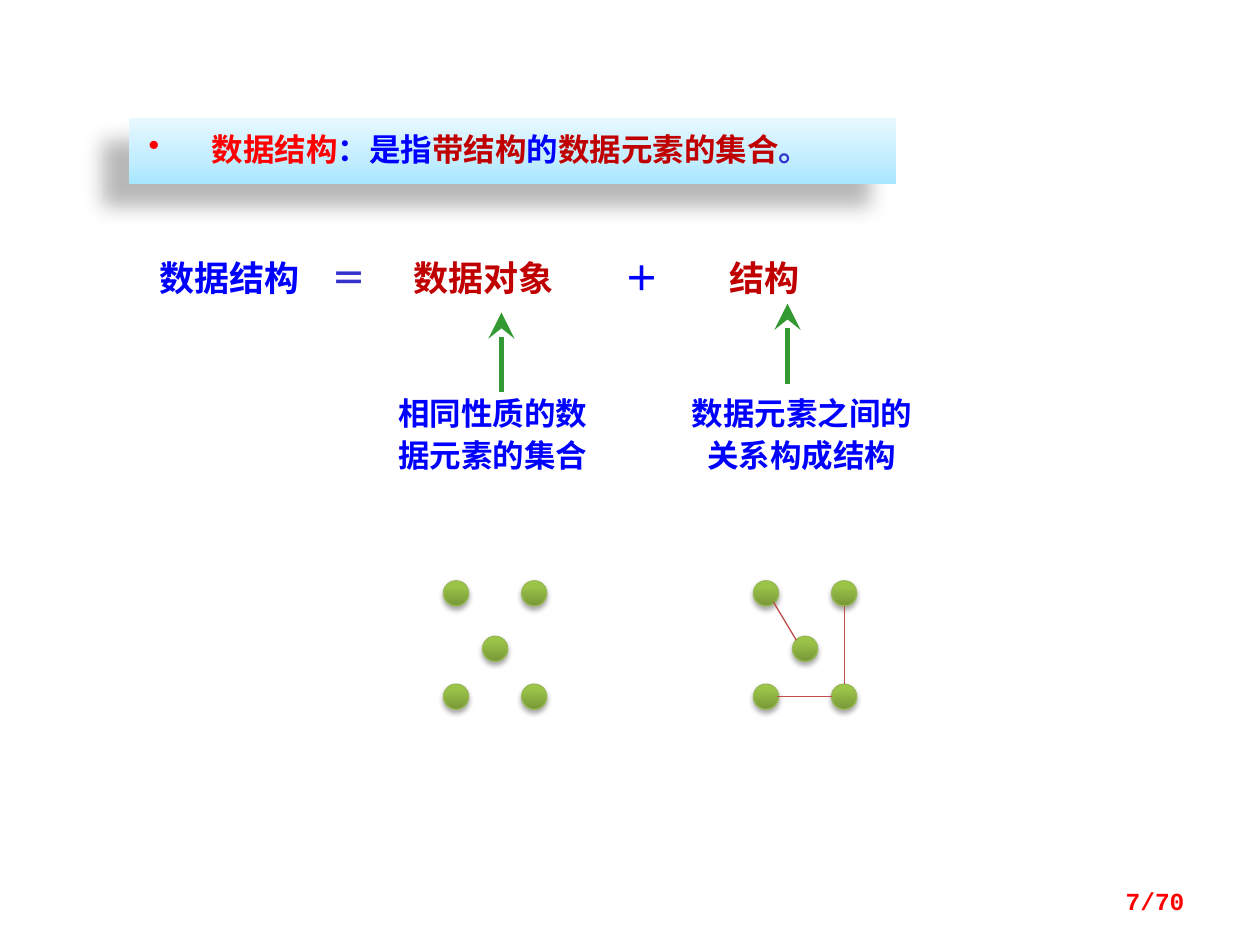
"""Build the slide that defines a data structure as data objects plus structure."""
from copy import deepcopy

from pptx import Presentation
from pptx.dml.color import RGBColor
from pptx.enum.shapes import MSO_CONNECTOR, MSO_SHAPE
from pptx.enum.text import MSO_ANCHOR, PP_ALIGN
from pptx.oxml.ns import qn
from pptx.oxml.xmlchemy import OxmlElement
from pptx.util import Inches, Pt

STRAIGHT = MSO_CONNECTOR.STRAIGHT
RECTANGLE, OVAL = MSO_SHAPE.RECTANGLE, MSO_SHAPE.OVAL
TOP, MIDDLE = MSO_ANCHOR.TOP, MSO_ANCHOR.MIDDLE
LEFT, CENTER, RIGHT = PP_ALIGN.LEFT, PP_ALIGN.CENTER, PP_ALIGN.RIGHT
SANS, SERIF, MONO = "Noto Sans CJK SC", "Times New Roman", "Courier New"
RED, DARK_RED, BLUE, INDIGO = "FF0000", "C00000", "0000FF", "3333CC"
SKY = [(0, "A7E6FF"), (0.35, "C1EDFF"), (1, "E7F8FF")]
GREEN = [(0, "779737"), (0.8, "9BC348"), (1, "9DC746")]


def color(code):
    return RGBColor.from_string(code)


def write(box, runs, size, align=LEFT, spacing=1, anchor=TOP, insets=(0.1, 0.05, 0.1, 0.05)):
    frame = box.text_frame
    frame.word_wrap = True
    frame.vertical_anchor = anchor
    frame.margin_left, frame.margin_top, frame.margin_right, frame.margin_bottom = map(Inches, insets)
    para = frame.paragraphs[0]
    para.alignment = align
    para.line_spacing = spacing
    for text, font, code in runs:
        span = para.add_run()
        span.text = text
        span.font.size = Pt(size)
        span.font.bold = True
        span.font.name = font
        span.font.color.rgb = color(code)
        east_asian = OxmlElement("a:ea")
        east_asian.set("typeface", SANS)
        span.font._element.append(east_asian)
    return para


deck = Presentation()
deck.slide_width, deck.slide_height = Inches(10), Inches(7.5)
page = deck.slides.add_slide(deck.slide_layouts[6])

banner_shadow = (11.8, 19.7, 141, 28)
dot_shadow = (3.1, 1.8, 90, 35)
dot_places = [(0.62, 0), (0, 0), (0.31, 0.44), (0.62, 0.82), (0, 0.82)]
filled = [(RECTANGLE, 1.02, 0.94, 6.09, 0.52, SKY, None, banner_shadow)]
for group_left in (3.52, 5.98):
    for across, down in dot_places:
        filled.append((OVAL, group_left + across, 4.61 + down, 0.2, 0.2, GREEN, "98B955", dot_shadow))

shapes = []
for kind, left, top, width, height, stops, outline, shadow in filled:
    shape = page.shapes.add_shape(kind, Inches(left), Inches(top), Inches(width), Inches(height))
    shape.fill.gradient()
    shape.fill.gradient_angle = 90
    stop_list = shape._element.spPr.find(".//" + qn("a:gsLst"))
    stop_list.append(deepcopy(stop_list[-1]))
    for stop, (position, code) in zip(shape.fill.gradient_stops, stops):
        stop.position = position
        stop.color.rgb = color(code)
    if outline:
        shape.line.color.rgb = color(outline)
        shape.line.width = Pt(0.75)
    else:
        shape.line.fill.background()
    shape.shadow.inherit = False
    blur, distance, angle, opacity = shadow
    outer = OxmlElement("a:outerShdw")
    for name, value in (("blurRad", Pt(blur)), ("dist", Pt(distance)), ("dir", angle * 60000), ("rotWithShape", 0)):
        outer.set(name, str(value))
    shade = OxmlElement("a:srgbClr")
    shade.set("val", "000000")
    alpha = OxmlElement("a:alpha")
    alpha.set("val", str(opacity * 1000))
    shade.append(alpha)
    outer.append(shade)
    shape._element.spPr.find(qn("a:effectLst")).append(outer)
    shapes.append(shape)

definition = [
    ("数据结构", SANS, RED),
    ("：是指", SERIF, BLUE),
    ("带结构", SERIF, DARK_RED),
    ("的", SERIF, BLUE),
    ("数据元素的集合", SERIF, DARK_RED),
    ("。", SERIF, INDIGO),
]
para = write(shapes[0], definition, 18, spacing=1.05, insets=(0.16, 0.08, 0.1, 0.08))
properties = para._p.get_or_add_pPr()
properties.set("marL", str(Inches(0.5)))
properties.set("indent", str(-Inches(0.5)))
bullet = OxmlElement("a:buChar")
bullet.set("char", "•")
properties.append(bullet)

equation = [
    ("数据结构\t", SANS, BLUE),
    ("＝\t", SERIF, INDIGO),
    ("数据对象\t", SERIF, DARK_RED),
    ("＋\t", MONO, BLUE),
    ("结构", SERIF, DARK_RED),
]
box = page.shapes.add_textbox(Inches(1.17), Inches(2.03), Inches(5.7), Inches(0.35))
para = write(box, equation, 20, spacing=0.75, insets=(0.1, 0.08, 0.1, 0))
tabs = OxmlElement("a:tabLst")
for position in (1.36, 2.01, 3.69, 4.52):
    tab = OxmlElement("a:tab")
    tab.set("pos", str(Inches(position)))
    tab.set("algn", "l")
    tabs.append(tab)
para._p.get_or_add_pPr().append(tabs)

labels = [
    ("数据元素之间的关系构成结构", 5.31, 3.05, 2.11, 0.83, 18, SANS, BLUE, CENTER, 1.1, TOP),
    ("相同性质的数据元素的集合", 2.97, 3.05, 1.88, 0.83, 18, SANS, BLUE, CENTER, 1.1, TOP),
    ("7/70", 7.17, 6.95, 2.33, 0.4, 14, MONO, RED, RIGHT, 1, MIDDLE),
]
for text, left, top, width, height, size, font, code, align, spacing, anchor in labels:
    box = page.shapes.add_textbox(Inches(left), Inches(top), Inches(width), Inches(height))
    write(box, [(text, font, code)], size, align, spacing, anchor)

lines = [
    (3.98, 3.11, 3.98, 2.48, "339933", 3, True),
    (6.25, 3.05, 6.25, 2.41, "339933", 3, True),
    (6.14, 4.78, 6.32, 5.08, "BF4C48", 0.75, False),
    (6.17, 5.53, 6.6, 5.53, "BF4C48", 0.75, False),
    (6.7, 4.81, 6.7, 5.43, "BF4C48", 0.75, False),
]
for start_x, start_y, end_x, end_y, code, weight, arrow in lines:
    line = page.shapes.add_connector(STRAIGHT, Inches(start_x), Inches(start_y), Inches(end_x), Inches(end_y))
    line.line.color.rgb = color(code)
    line.line.width = Pt(weight)
    if arrow:
        head = OxmlElement("a:tailEnd")
        for name, value in (("type", "stealth"), ("w", "lg"), ("len", "lg")):
            head.set(name, value)
        line.line._get_or_add_ln().append(head)
    line._element.spPr.append(OxmlElement("a:effectLst"))

deck.save("out.pptx")
